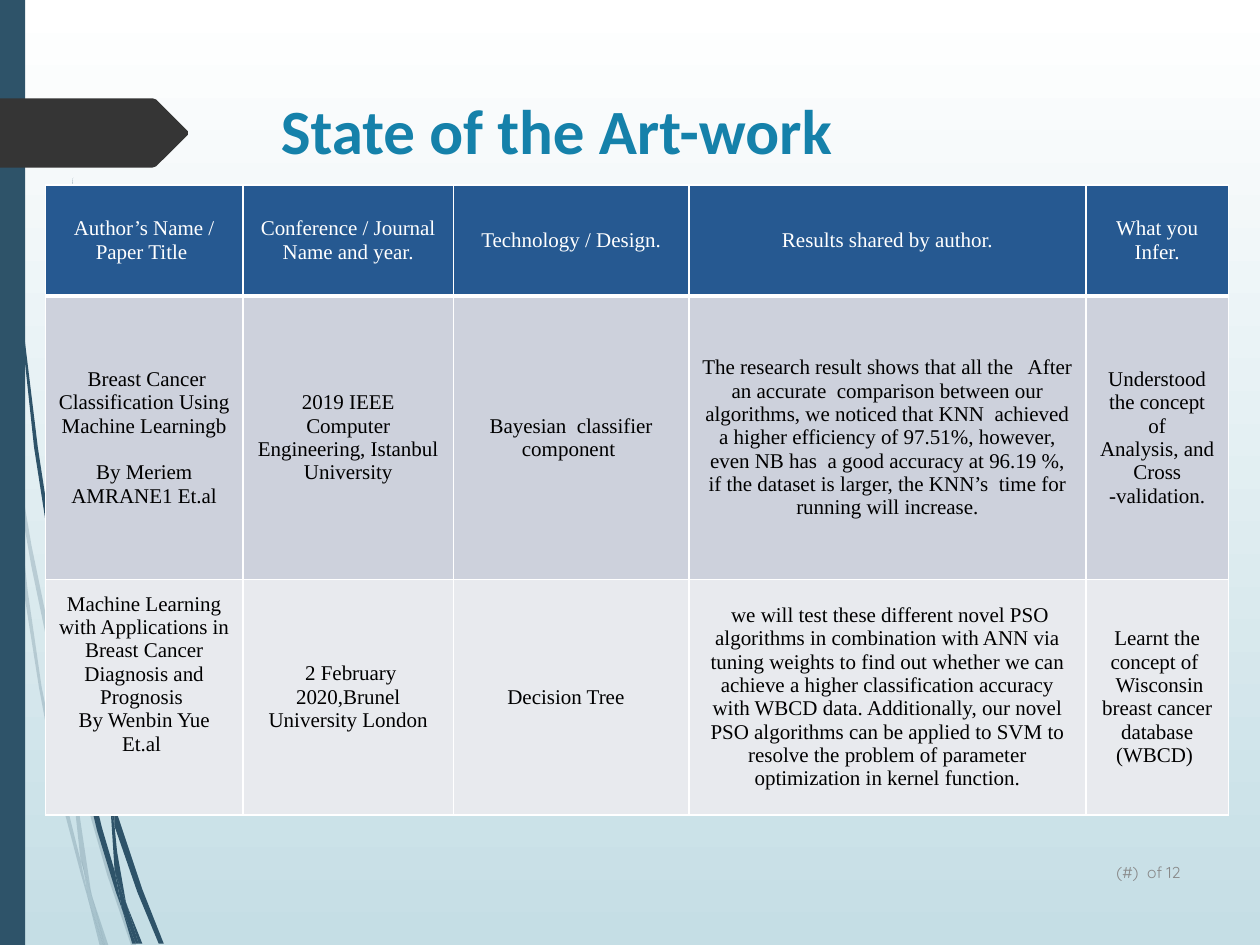
from lxml import etree
from pptx import Presentation
from pptx.dml.color import RGBColor
from pptx.enum.text import MSO_ANCHOR, PP_ALIGN
from pptx.oxml.ns import qn
from pptx.util import Pt

CENTER, LEFT = PP_ALIGN.CENTER, PP_ALIGN.LEFT
MIDDLE, TOP = MSO_ANCHOR.MIDDLE, MSO_ANCHOR.TOP
COLORS = {
    "sky": "FFFFFF", "mist": "C5DEE5", "slate": "2E5369", "arrow": "353535",
    "title": "1581AA", "page": "888888", "header": "265991", "white": "FFFFFF",
    "band_dark": "CDD1DC", "band_light": "E8EAEE", "black": "000000",
}
GRID = Pt(0.72)  # outlines are drawn on a grid of 1000 x 750 units
MARGINS = {"margin_left": Pt(7.2), "margin_right": Pt(7.2),
           "margin_top": Pt(3.6), "margin_bottom": Pt(3.6)}

# Outlines of the grass blades as x, y pairs in grid units
PALE_BLADES = [
    "8,350 6,322 0,282 0,299 7,344",
    "40,522 59,599 59,586 43,520 25,433 10,345 12,376 25,450",
    "64,607 61,596 61,610 85,694 104,750 108,750 88,692",
    "83,750 86,750 73,711",
    "64,683 48,619 33,545 22,469 12,376 8,350 12,411 19,470 31,546 45,621 64,693 70,714 69,707",
    "58,599 60,646 64,683 67,692 73,711 72,706 63,646 61,610 61,608",
    "61,584 65,523 76,462 91,405 111,349 134,296 159,245 187,198 201,175 217,154 "
    "217,153 201,175 186,197 158,244 133,295 110,348 90,404 75,461 64,522 59,584 59,586 61,596",
    "70,714 79,750 82,750",
    "61,608 61,610 61,596 59,586 58,599",
    "67,692 65,683 69,707 70,714 82,750 83,750 73,711",
]
DARK_BLADES = [
    "5,110 14,233 27,355 46,477 47,481 45,457 45,453 30,355 15,232 6,109 4,48 3,0 2,0 3,48",
    "73,592 88,645 88,633 88,631 77,590 62,532 50,472 53,505 62,549",
    "94,649 91,641 91,656 109,708 126,749 130,749 113,706",
    "91,691 81,657 69,608 60,556 53,505 47,477 56,557 65,608 77,659 92,708 97,722 96,717",
    "50,472 48,453 44,349 48,244 52,193 58,141 51,193 47,244 43,349 45,449 49,472",
    "110,749 113,749 101,719",
    "47,477 53,505 50,472 49,472 45,449 45,453",
    "91,633 94,593 103,552 116,513 131,476 149,440 169,406 191,374 203,359 216,344 "
    "215,344 203,358 191,373 168,405 148,439 129,474 114,512 101,551 92,590 88,631 91,641",
    "97,722 105,749 108,749",
    "88,645 91,691 96,706 101,719 100,716 93,676 91,656 90,651",
    "88,645 90,651 91,656 91,641 88,631 88,633",
    "96,706 91,691 96,717 97,722 108,749 110,749 101,719",
]
ARROW = "149,107 124,132 121,133 0,133 0,78 121,78 124,79 149,104"

COLUMN_WIDTHS = [113, 120.2, 134.7, 226.8, 81.4]
ROW_HEIGHTS = [63.4, 162, 133.2]
ROW_FILLS = ["header", "band_dark", "band_light"]
ROWS = [
    ["Author’s Name / Paper Title ", "Conference / Journal Name and year.",
     "Technology / Design.", "Results shared by author.", "What you Infer."],
    [" Breast Cancer Classification Using Machine Learningb\nBy Meriem AMRANE1 Et.al",
     "2019 IEEE\nComputer Engineering, Istanbul University",
     "Bayesian  classifier component ",
     "The research result shows that all the   After an accurate  comparison between our "
     "algorithms, we noticed that KNN  achieved a higher efficiency of 97.51%, however, even "
     "NB has  a good accuracy at 96.19 %, if the dataset is larger, the KNN’s  time for "
     "running will increase.",
     "Understood the concept of\vAnalysis, and Cross -validation."],
    ["Machine Learning with Applications in Breast Cancer Diagnosis and Prognosis \n"
     "By Wenbin Yue\nEt.al ",
     " 2 February 2020,Brunel University London",
     "Decision Tree  ",
     " we will test these different novel PSO algorithms in combination with ANN via tuning "
     "weights to find out whether we can achieve a higher classification accuracy with WBCD "
     "data. Additionally, our novel PSO algorithms can be applied to SVM to resolve the "
     "problem of parameter optimization in kernel function.",
     "Learnt the concept of \n Wisconsin breast cancer database (WBCD) "],
]


def rgb(name):
    return RGBColor.from_string(COLORS[name])


def set_attributes(target, values):
    for name, value in values.items():
        setattr(target, name, value)


def write_text(frame, text, color, align=CENTER, **font):
    frame.text = text
    for paragraph in frame.paragraphs:
        paragraph.alignment = align
        set_attributes(paragraph.font, font)
        for run in paragraph.runs:
            set_attributes(run.font, font)
            run.font.color.rgb = rgb(color)


def paint(shape, color, opacity=None):
    shape.shadow.inherit = False
    shape.fill.solid()
    shape.fill.fore_color.rgb = rgb(color)
    shape.line.fill.background()
    if opacity is not None:
        color_node = shape.fill._xPr.find(".//" + qn("a:srgbClr"))
        etree.SubElement(color_node, qn("a:alpha"), val=str(opacity * 1000))


def add_outline(shapes, outline, box, color, opacity=None):
    points = [tuple(map(int, pair.split(","))) for pair in outline.split()]
    builder = shapes.build_freeform(*points[0], scale=GRID)
    builder.add_line_segments(points[1:], close=True)
    paint(builder.convert_to_shape(Pt(box[0]), Pt(box[1])), color, opacity)


def add_background(slide):
    fill = slide.background.fill
    fill.gradient()
    fill.gradient_angle = 270
    for stop, position, color in zip(fill.gradient_stops, (0, 1), ("sky", "mist")):
        stop.position = position
        stop.color.rgb = rgb(color)


def add_left_decoration(slide, left, top, width, height):
    for blades, opacity in ((PALE_BLADES, 20), (DARK_BLADES, None)):
        group = slide.shapes.add_group_shape()
        for outline in blades:
            add_outline(group.shapes, outline, (left, top), "slate", opacity)
    bar = slide.shapes.add_shape(1, Pt(left), Pt(top), Pt(width), Pt(height))
    paint(bar, "slate")
    add_outline(slide.shapes, ARROW, (left, top), "arrow")


def add_label(slide, box, text, color, anchor, align, **font):
    frame = slide.shapes.add_textbox(*map(Pt, box)).text_frame
    set_attributes(frame, {**MARGINS, "word_wrap": True, "vertical_anchor": anchor})
    write_text(frame, text, color, align, **font)


def add_borders(cell, widths):
    properties = cell._tc.get_or_add_tcPr()
    for side, width in widths.items():
        line = etree.SubElement(properties, qn("a:ln" + side), w=str(Pt(width)))
        fill = etree.SubElement(line, qn("a:solidFill"))
        etree.SubElement(fill, qn("a:srgbClr"), val=COLORS["white"])


def add_papers_table(slide, left, top):
    table = slide.shapes.add_table(
        len(ROWS), len(COLUMN_WIDTHS), Pt(left), Pt(top),
        Pt(sum(COLUMN_WIDTHS)), Pt(sum(ROW_HEIGHTS))).table
    for column, width in zip(table.columns, COLUMN_WIDTHS):
        column.width = Pt(width)
    for index, (row, height) in enumerate(zip(table.rows, ROW_HEIGHTS)):
        row.height = Pt(height)
        widths = {"L": 1, "R": 1, "T": 3 if index == 1 else 1, "B": 3 if index == 0 else 1}
        for cell, text in zip(row.cells, ROWS[index]):
            set_attributes(cell, {**MARGINS, "vertical_anchor": MIDDLE})
            add_borders(cell, widths)
            cell.fill.solid()
            cell.fill.fore_color.rgb = rgb(ROW_FILLS[index])
            write_text(cell.text_frame, text, "black" if index else "white",
                       name="Times New Roman", size=Pt(12))
    table.cell(1, 0).text_frame.paragraphs[1].space_before = Pt(13.4)
    table.cell(2, 0).margin_bottom = Pt(30)


def main():
    presentation = Presentation()
    presentation.slide_width, presentation.slide_height = Pt(720), Pt(540)
    slide = presentation.slides.add_slide(presentation.slide_layouts[6])
    add_background(slide)
    add_left_decoration(slide, 0, 0, 14.4, 540)
    add_label(slide, (153.4, 49, 519, 100.8), "State of the Art-work", "title", TOP, LEFT,
              name="Calibri", size=Pt(36), bold=True)
    add_label(slide, (625.7, 483.8, 61.2, 28.8), "(#)  of 12", "page", MIDDLE, CENTER,
              name="Quicksand", size=Pt(9))
    add_papers_table(slide, 25.9, 105.8)
    presentation.save("out.pptx")


if __name__ == "__main__":
    main()
